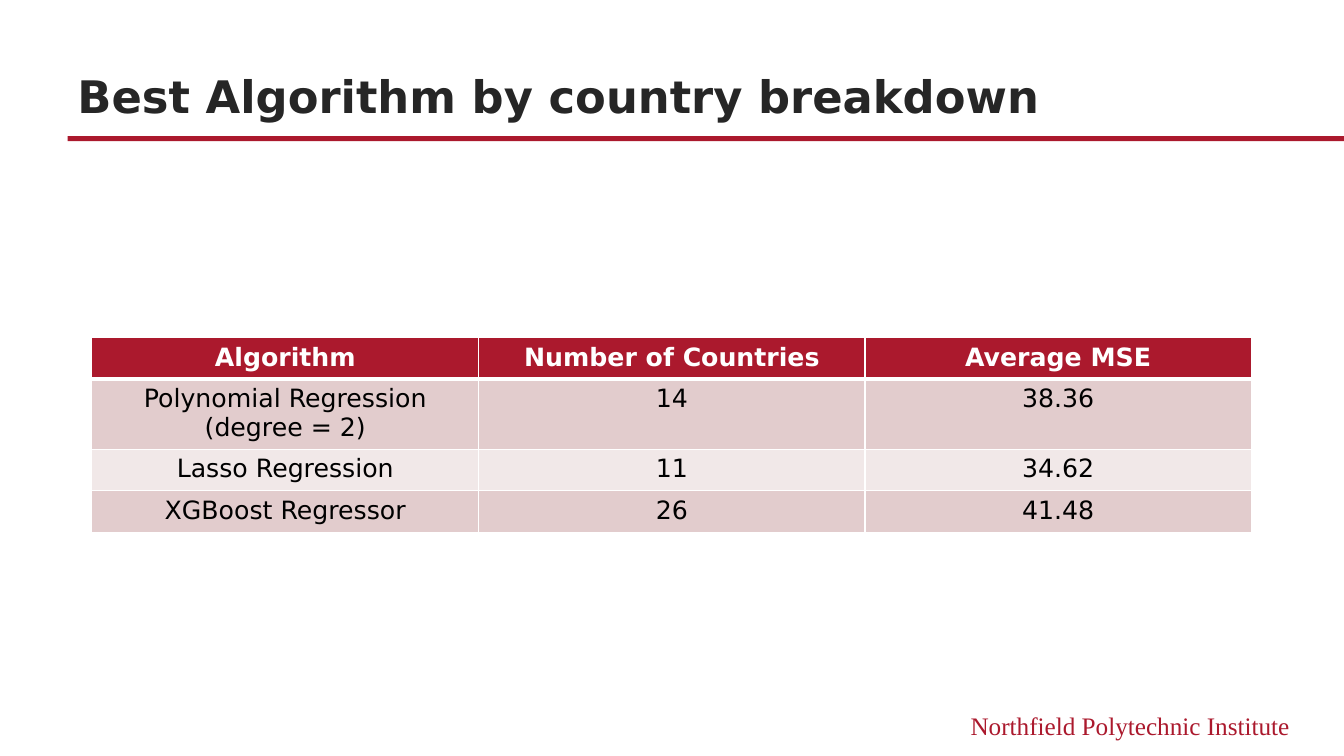
from dataclasses import dataclass

from lxml.etree import SubElement
from pptx import Presentation
from pptx.dml.color import RGBColor
from pptx.enum.shapes import MSO_SHAPE as Shape
from pptx.enum.text import MSO_ANCHOR as Anchor, PP_ALIGN as Align
from pptx.oxml.ns import qn
from pptx.slide import Slide
from pptx.table import _Cell as Cell
from pptx.text.text import TextFrame
from pptx.util import Inches, Pt

COLORS = {
    "crimson": "AB192D",
    "title": "262626",
    "black": "000000",
    "white": "FFFFFF",
    "band_dark": "E2CCCD",
    "band_light": "F1E8E8",
}
SANS = "DejaVu Sans"
SERIF = "Times New Roman"
TABLE_LEFT, TABLE_TOP = 0.91, 3.35
COLUMN_WIDTHS = (3.84, 3.83, 3.83)
THIN, THICK = 1, 3


@dataclass(frozen=True)
class Row:
    values: tuple[str, str, str]
    height: float = 0.41


ROWS = (
    Row(("Algorithm", "Number of Countries", "Average MSE")),
    Row(("Polynomial Regression (degree = 2)", "14", "38.36"), 0.68),
    Row(("Lasso Regression", "11", "34.62")),
    Row(("XGBoost Regressor", "26", "41.48")),
)


def rgb(name: str) -> RGBColor:
    return RGBColor.from_string(COLORS[name])


def write(frame: TextFrame, text: str, *, color: str, size: int = 18, font: str = SANS,
          bold: bool = False, align: Align = Align.LEFT) -> None:
    frame.word_wrap = True
    para = frame.paragraphs[0]
    para.alignment = align
    span = para.add_run()
    span.text = text
    span.font.name = font
    span.font.size = Pt(size)
    span.font.bold = bold
    span.font.color.rgb = rgb(color)


def add_text(page: Slide, text: str, left: float, top: float, width: float, height: float,
             *, anchor: Anchor = Anchor.TOP, **style) -> None:
    box = page.shapes.add_textbox(Inches(left), Inches(top), Inches(width), Inches(height))
    box.text_frame.vertical_anchor = anchor
    write(box.text_frame, text, **style)


def add_rule(page: Slide) -> None:
    rule = page.shapes.add_shape(
        Shape.RECTANGLE, Inches(0.67), Inches(1.35), Inches(12.66), Inches(0.05))
    rule.shadow.inherit = False
    rule.fill.solid()
    rule.fill.fore_color.rgb = rgb("crimson")
    rule.line.fill.background()


def set_borders(cell: Cell, *, top: int, bottom: int) -> None:
    """Draw white borders; call before the fill, which must follow them in the XML."""
    properties = cell._tc.get_or_add_tcPr()
    for side, points in (("L", THIN), ("R", THIN), ("T", top), ("B", bottom)):
        line = SubElement(properties, qn(f"a:ln{side}"), w=str(Pt(points)))
        fill = SubElement(line, qn("a:solidFill"))
        SubElement(fill, qn("a:srgbClr"), val=COLORS["white"])


def add_results(page: Slide) -> None:
    table = page.shapes.add_table(
        len(ROWS), len(COLUMN_WIDTHS), Inches(TABLE_LEFT), Inches(TABLE_TOP),
        Inches(sum(COLUMN_WIDTHS)), Inches(sum(row.height for row in ROWS))).table
    for column, width in zip(table.columns, COLUMN_WIDTHS):
        column.width = Inches(width)
    for index, row in enumerate(ROWS):
        table.rows[index].height = Inches(row.height)
        header = index == 0
        band = "crimson" if header else "band_dark" if index % 2 else "band_light"
        for cell, value in zip(table.rows[index].cells, row.values):
            set_borders(cell, top=THICK if index == 1 else THIN,
                        bottom=THICK if header else THIN)
            cell.fill.solid()
            cell.fill.fore_color.rgb = rgb(band)
            write(cell.text_frame, value, color="white" if header else "black",
                  bold=header, align=Align.CENTER)


def main() -> None:
    deck = Presentation()
    deck.slide_width, deck.slide_height = Inches(13.33), Inches(7.5)
    page = deck.slides.add_slide(deck.slide_layouts[6])
    add_rule(page)
    add_text(page, "Northfield Polytechnic Institute", 8, 7, 4.89, 0.4,
             color="crimson", font=SERIF, align=Align.RIGHT)
    add_text(page, "Best Algorithm by country breakdown", 0.67, 0.38, 12, 0.88,
             color="title", size=32, bold=True, anchor=Anchor.BOTTOM)
    add_results(page)
    deck.save("out.pptx")


if __name__ == "__main__":
    main()
